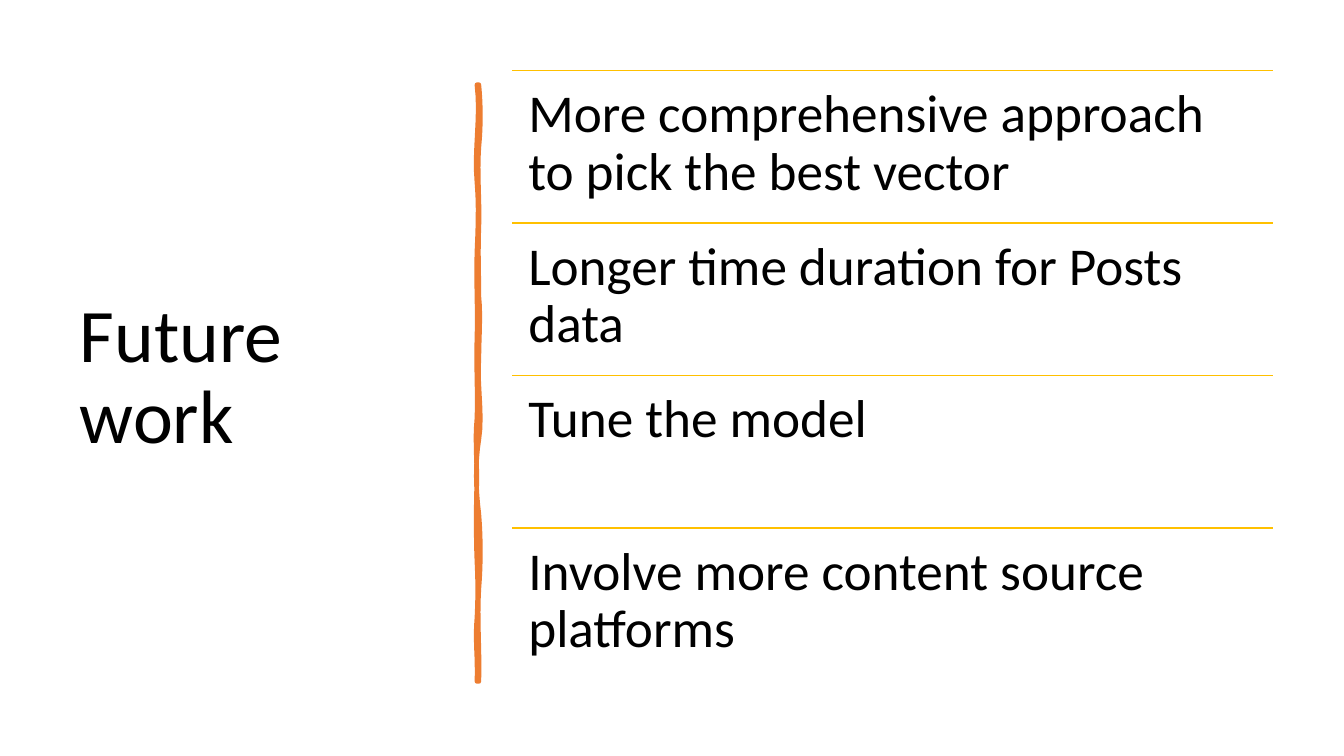
"""Build the "Future work" slide: a title, a hand-drawn divider and four ruled items."""
import dataclasses

import pptx
import pptx.dml.color
import pptx.enum.shapes
import pptx.enum.text
import pptx.oxml.ns
import pptx.util
from lxml import etree

Inches = pptx.util.Inches


@dataclasses.dataclass(frozen=True)
class Theme:
    font: str = "Calibri"
    text: str = "000000"
    divider: str = "ED7D31"
    rule: str = "FFC000"
    title_size: int = 54
    item_size: int = 38


theme = Theme()


def color(value):
    return pptx.dml.color.RGBColor.from_string(value)


def format_text(shape, size, inset_x, inset_y, anchor):
    frame = shape.text_frame
    frame.word_wrap = True
    frame.auto_size = pptx.enum.text.MSO_AUTO_SIZE.NONE
    frame.vertical_anchor = anchor
    frame.margin_left = frame.margin_right = Inches(inset_x)
    frame.margin_top = frame.margin_bottom = Inches(inset_y)
    paragraph = frame.paragraphs[0]
    paragraph.alignment = pptx.enum.text.PP_ALIGN.LEFT
    paragraph.line_spacing = 0.9
    paragraph.space_before = pptx.util.Pt(0)
    font = paragraph.runs[0].font
    font.name = theme.font
    font.size = pptx.util.Pt(size)
    font.color.rgb = color(theme.text)


presentation = pptx.Presentation()
presentation.slide_width = Inches(13.33)
presentation.slide_height = Inches(7.5)
slide = presentation.slides.add_slide(presentation.slide_layouts[5])

title = slide.shapes.title
title.left, title.top = Inches(0.69), Inches(0.7)
title.width, title.height = Inches(3.74), Inches(6.11)
title.text_frame.text = "Future work"
format_text(title, theme.title_size, 0.1, 0.05, pptx.enum.text.MSO_ANCHOR.MIDDLE)

# Each bend is the end height of a curve and its two horizontal control positions.
right_edge = [
    (1.46, 4.77, 4.77), (2.26, 4.73, 4.76), (2.94, 4.74, 4.75),
    (3.56, 4.77, 4.75), (4.36, 4.73, 4.79), (5.1, 4.71, 4.72),
    (5.84, 4.77, 4.77), (6.76, 4.73, 4.76),
]
left_edge = [
    (6.13, 4.74, 4.71), (5.57, 4.74, 4.74), (4.77, 4.72, 4.72),
    (4.15, 4.73, 4.71), (3.35, 4.74, 4.72), (2.5, 4.74, 4.72),
    (1.81, 4.74, 4.75), (0.84, 4.7, 4.77),
]
steps = 8
outline = []
for edge_x, start_y, bends in ((4.75, 0.84, right_edge), (4.73, 6.76, left_edge)):
    outline.append((Inches(edge_x), Inches(start_y)))
    for end_y, first_x, second_x in bends:
        for step in range(1, steps + 1):
            t = step / steps
            x = (edge_x * ((1 - t) ** 3 + t ** 3)
                 + 3 * t * (1 - t) * (first_x * (1 - t) + second_x * t))
            y = start_y + (end_y - start_y) * t
            outline.append((Inches(x), Inches(y)))
        start_y = end_y

builder = slide.shapes.build_freeform(*outline[0])
builder.add_line_segments(outline[1:], close=True)
divider = builder.convert_to_shape()
divider.shadow.inherit = False
divider.fill.solid()
divider.fill.fore_color.rgb = color(theme.divider)
divider.line.color.rgb = color(theme.divider)
divider.line.width = pptx.util.Pt(3.25)
etree.SubElement(divider.line._get_or_add_ln(), pptx.oxml.ns.qn("a:round"))

items = [
    "More comprehensive approach to pick the best vector",
    "Longer time duration for Posts data",
    "Tune the model",
    "Involve more content source platforms",
]
item_left, item_width = 5.08, 7.55
first_top, item_height = 0.7, 1.513
for index, wording in enumerate(items):
    top = Inches(first_top + index * item_height)
    rule = slide.shapes.add_connector(
        pptx.enum.shapes.MSO_CONNECTOR.STRAIGHT,
        Inches(item_left), top, Inches(item_left + item_width), top)
    rule.line.color.rgb = color(theme.rule)
    rule.line.width = pptx.util.Pt(1)
    etree.SubElement(rule._element.spPr, pptx.oxml.ns.qn("a:effectLst"))
    item = slide.shapes.add_textbox(
        Inches(item_left), top, Inches(item_width), Inches(item_height))
    item.text_frame.text = wording
    format_text(item, theme.item_size, 0.16, 0.16, pptx.enum.text.MSO_ANCHOR.TOP)

presentation.save("out.pptx")
